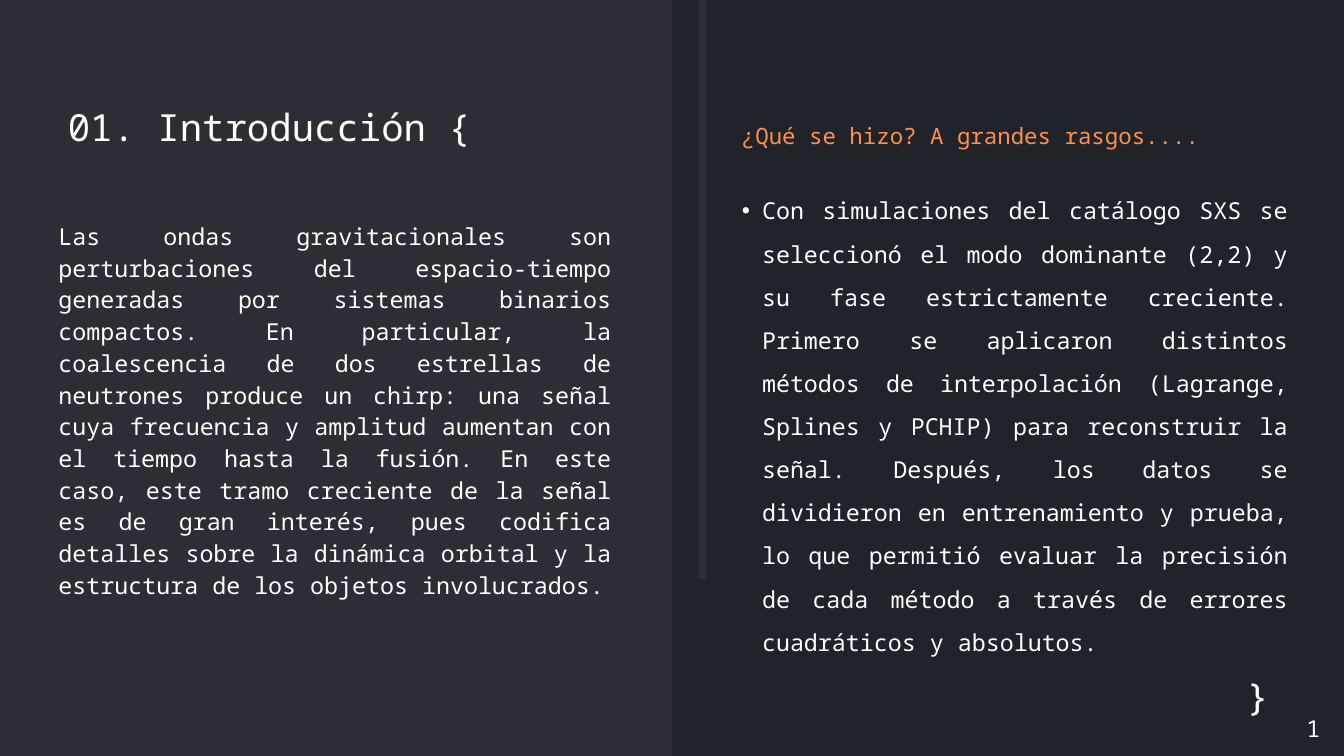
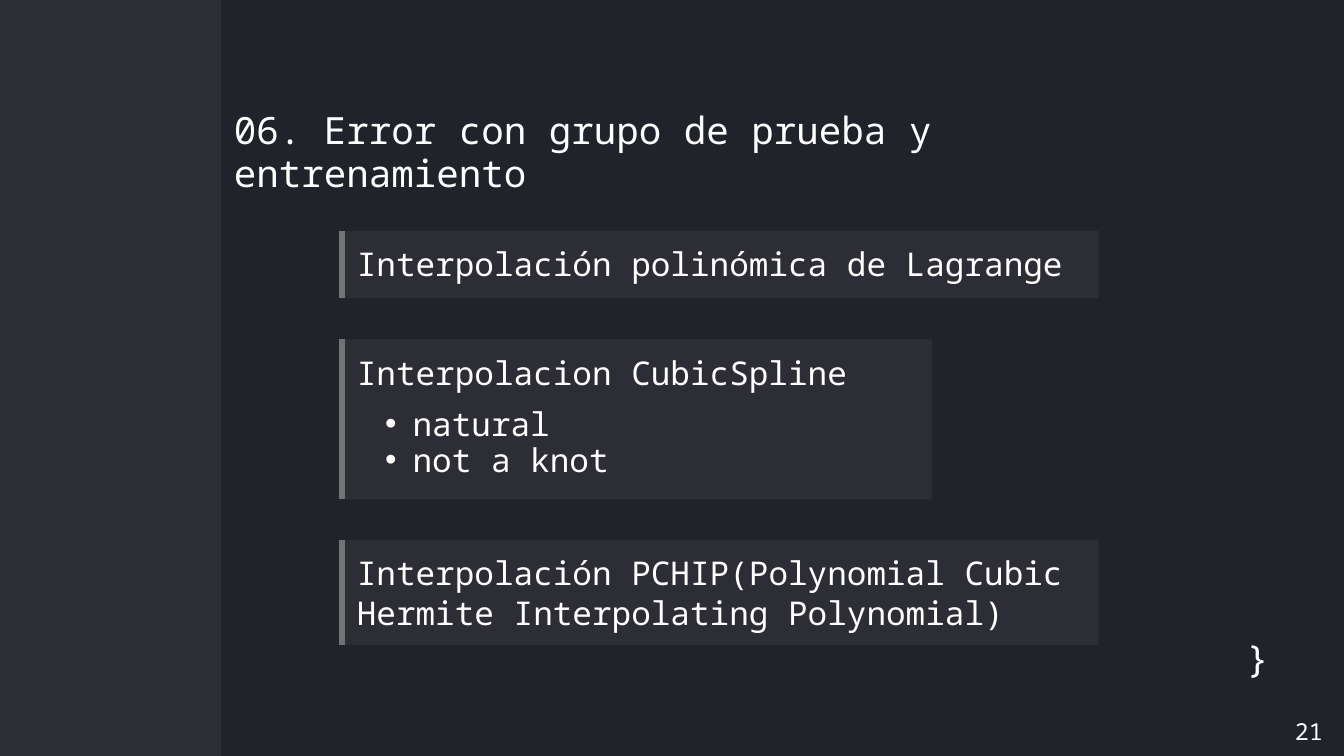
from pptx import Presentation
from pptx.dml.color import RGBColor
from pptx.enum.shapes import MSO_CONNECTOR, MSO_SHAPE
from pptx.enum.text import MSO_ANCHOR, MSO_AUTO_SIZE, PP_ALIGN
from pptx.oxml.ns import qn
from pptx.util import Inches, Pt
from lxml.etree import SubElement

NIGHT = RGBColor(0x20, 0x23, 0x2A)
PANEL = RGBColor(0x2D, 0x2D, 0x35)
GREY = RGBColor(0x73, 0x73, 0x73)
WHITE = RGBColor(0xFF, 0xFF, 0xFF)
ORANGE = RGBColor(0xFF, 0x91, 0x4D)
WIDE, HIGH = 20, 11.25
JUST = PP_ALIGN.JUSTIFY

FRAME = dict(margin_left=0, margin_right=0, margin_top=0, margin_bottom=0,
             word_wrap=True, vertical_anchor=MSO_ANCHOR.TOP,
             auto_size=MSO_AUTO_SIZE.SHAPE_TO_FIT_TEXT)


def apply(target, values):
    for name, value in values.items():
        setattr(target, name, value)


class Deck:
    """Holds the style and the current slide."""

    font = "Noto Sans Mono"

    def __init__(self):
        self.file = Presentation()
        apply(self.file, dict(slide_width=Inches(WIDE), slide_height=Inches(HIGH)))

    def page(self, title, box, size, lead, split):
        self.slide = self.file.slides.add_slide(self.file.slide_layouts[5])
        fill = self.slide.background.fill
        fill.solid()
        fill.fore_color.rgb = NIGHT
        self.rect(0, 0, split, HIGH)
        # Title goes in front of the side panel
        shape = self.slide.shapes.title
        self.slide.shapes._spTree.append(shape._element)
        names = ("left", "top", "width", "height")
        apply(shape, dict(zip(names, map(Inches, box))))
        self.typeset(shape.text_frame, [title], size, lead)

    def typeset(self, frame, lines, size, lead, color=WHITE,
                align=PP_ALIGN.LEFT, bullet=None):
        apply(frame, FRAME)
        for i, line in enumerate(lines):
            para = frame.paragraphs[0] if i == 0 else frame.add_paragraph()
            apply(para, dict(alignment=align, line_spacing=Pt(lead),
                             space_before=Pt(0), space_after=Pt(0)))
            run = para.add_run()
            run.text = line
            apply(run.font, dict(name=self.font, size=Pt(size), bold=False))
            run.font.color.rgb = color
            if bullet:
                self.dot(para, *bullet)

    def dot(self, para, margin, hang):
        para.level = 1
        props = para._p.get_or_add_pPr()
        props.set("marL", str(Inches(margin)))
        props.set("indent", str(Inches(-hang)))
        SubElement(props, qn("a:buFont"), typeface="Arial")
        SubElement(props, qn("a:buChar"), char="•")

    def text(self, lines, box, size, lead, **style):
        shape = self.slide.shapes.add_textbox(*map(Inches, box))
        self.typeset(shape.text_frame, lines, size, lead, **style)

    def rect(self, *box):
        shape = self.slide.shapes.add_shape(MSO_SHAPE.RECTANGLE, *map(Inches, box))
        shape.shadow.inherit = False
        shape.fill.solid()
        shape.fill.fore_color.rgb = PANEL
        shape.line.fill.background()

    def bar(self, x, top, bottom, color, width):
        line = self.slide.shapes.add_connector(
            MSO_CONNECTOR.STRAIGHT, *map(Inches, (x, top, x, bottom)))
        line.line.color.rgb = color
        line.line.width = Pt(width)
        SubElement(line._element.spPr, qn("a:effectLst"))

    def card(self, text, top, width, height, rows):
        self.rect(5.04, top, width, height)
        self.bar(5.09, top, top + height, GREY, 6)
        self.text([text], (5.31, top + 0.19, width - 0.53, 0.59 * rows), 35, 42.3)

    def close(self, number, box, brace):
        self.text(["}"], (18.11, brace, 0.77, 0.64), 40, 45.6, align=PP_ALIGN.RIGHT)
        self.text([number], box, 25, 46.2, align=JUST)


def intro(deck):
    deck.page("01. Introducción {", (1.01, 1.58, 7.69, 0.64), 40, 45.6, 10)
    # Left half: the subject
    deck.text(["Las ondas gravitacionales son perturbaciones del espacio-tiempo "
               "generadas por sistemas binarios compactos. En particular, la "
               "coalescencia de dos estrellas de neutrones produce un chirp: una "
               "señal cuya frecuencia y amplitud aumentan con el tiempo hasta la "
               "fusión. En este caso, este tramo creciente de la señal es de gran "
               "interés, pues codifica detalles sobre la dinámica orbital y la "
               "estructura de los objetos involucrados."],
              (0.87, 3.25, 8.22, 6.09), 25, 34, align=JUST)
    # Right half: the work done
    deck.text(["Con simulaciones del catálogo SXS se seleccionó el modo dominante "
               "(2,2) y su fase estrictamente creciente. Primero se aplicaron "
               "distintos métodos de interpolación (Lagrange, Splines y PCHIP) para "
               "reconstruir la señal. Después, los datos se dividieron en "
               "entrenamiento y prueba, lo que permitió evaluar la precisión de "
               "cada método a través de errores cuadráticos y absolutos."],
              (10.75, 2.7, 8.41, 6.95), 25, 46.2, align=JUST, bullet=(0.59, 0.3))
    deck.bar(10.46, 0, 8.62, PANEL, 7.5)
    deck.text(["¿Qué se hizo? A grandes rasgos...."], (11.04, 1.76, 8.22, 0.89),
              24, 32.6, color=ORANGE, align=JUST)
    deck.close("1", (19.44, 10.4, 0.26, 0.6), 10.05)


def errors(deck):
    deck.page("06. Error con grupo de prueba y entrenamiento",
              (3.48, 1.63, 15.06, 0.65), 40.2, 45.8, 3.29)
    # Method cards, stacked with an equal gap
    cards = [("Interpolación polinómica de Lagrange", 11.31, 1, 1),
             ("Interpolacion CubicSpline", 8.83, 2.38, 1),
             ("Interpolación PCHIP(Polynomial Cubic Hermite Interpolating "
              "Polynomial)", 11.31, 1.56, 2)]
    top, gap = 3.44, 0.61
    for text, width, height, rows in cards:
        deck.card(text, top, width, height, rows)
        top += height + gap
    # Spline variants
    deck.text(["natural", "not a knot"], (5.31, 6.06, 4.35, 1.09), 35, 38.5,
              bullet=(0.83, 0.41))
    deck.close("21", (19.27, 10.45, 0.57, 0.6), 9.49)


def main():
    deck = Deck()
    intro(deck)
    errors(deck)
    deck.file.save("out.pptx")


if __name__ == "__main__":
    main()
